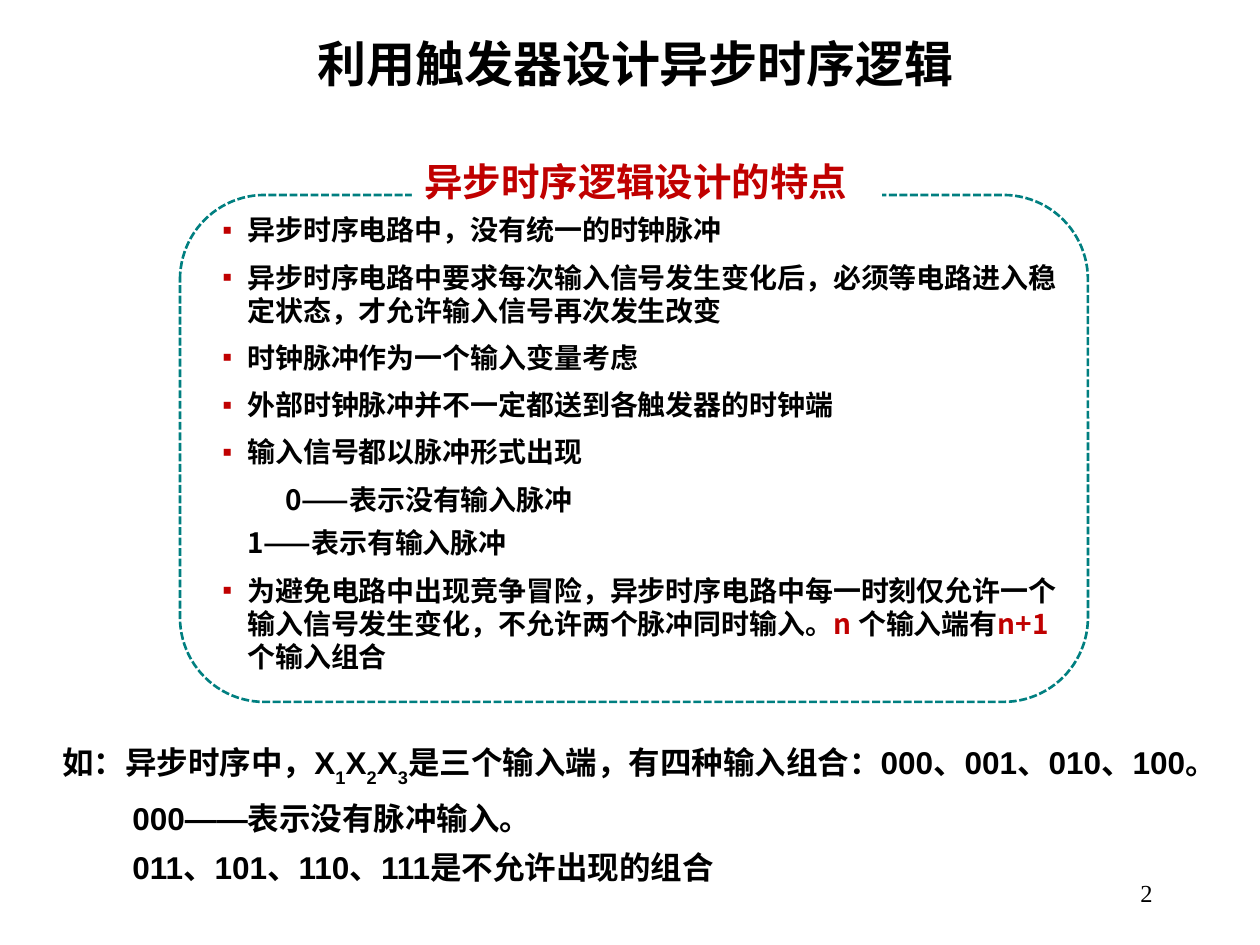
from pptx import Presentation
from pptx.dml.color import RGBColor
from pptx.enum.dml import MSO_LINE
from pptx.enum.shapes import MSO_SHAPE
from pptx.enum.text import MSO_ANCHOR, PP_ALIGN
from pptx.oxml.ns import qn
from pptx.util import Emu, Pt
from lxml.etree import SubElement

# Content: each paragraph is a list of (text, style) runs
CJK, LATIN, SERIF = "Noto Sans CJK SC", "Arial", "Times New Roman"
BLACK, RED, TEAL, WHITE = "000000", "C00000", "007F80", "FFFFFF"

TITLE = "利用触发器设计异步时序逻辑"
HEADING = "异步时序逻辑设计的特点"
FEATURES = [
    ("bullet", [("异步时序电路中，没有统一的时钟脉冲", "")]),
    ("bullet", [("异步时序电路中要求每次输入信号发生变化后，必须等电路进入稳定状态，才允许输入信号再次发生改变", "")]),
    ("bullet", [("时钟脉冲作为一个输入变量考虑", "")]),
    ("bullet", [("外部时钟脉冲并不一定都送到各触发器的时钟端", "")]),
    ("bullet", [("输入信号都以脉冲形式出现", "")]),
    ("zero", [("0——表示没有输入脉冲", "")]),
    ("one", [("1——表示有输入脉冲", "")]),
    ("bullet", [("为避免电路中出现竞争冒险，异步时序电路中每一时刻仅允许一个输入信号发生变化，不允许两个脉冲同时输入。", ""),
                ("n ", "red"), ("个输入端有", ""), ("n+1", "red"), ("个输入组合", "")]),
]
EXAMPLE = [
    ("lead", [("如：异步时序中，X", ""), ("1", "sub"), ("X", ""), ("2", "sub"), ("X", ""), ("3", "sub"),
              ("是三个输入端，有四种输入组合：000、001、010、100。", "")]),
    ("case", [("000——表示没有脉冲输入。", "")]),
    ("case", [("011、101、110、111是不允许出现的组合", "")]),
]
# Paragraph kinds: left margin px, first-line indent px, line pitch pt, space before pt
KINDS = {
    "bullet": (25, -25, 19, 8),
    "zero": (63, 0, 19, 8),
    "one": (25, 0, 17, 8),
    "lead": (62, -62, 25, 6),
    "case": (70, 0, 22, 6),
}


def px(n):
    return Emu(round(n * 914400 / 126))


def rgb(value):
    return RGBColor.from_string(value)


def add_run(p, text, size, font, color=BLACK, bold=True, sub=False):
    r = p.add_run()
    r.text = text
    f = r.font
    f.size, f.name, f.bold = Pt(size), font, bold
    f.color.rgb = rgb(color)
    rpr = f._element
    SubElement(rpr, qn("a:ea")).set("typeface", CJK)
    if sub:
        rpr.set("baseline", "-30000")


def add_bullet(ppr):
    clr = SubElement(ppr, qn("a:buClr"))
    SubElement(clr, qn("a:srgbClr")).set("val", RED)
    SubElement(ppr, qn("a:buFont")).set("typeface", LATIN)
    SubElement(ppr, qn("a:buChar")).set("char", "▪")


def add_text(box, paragraphs, size, font):
    tf = s.shapes.add_textbox(*map(px, box)).text_frame
    tf.word_wrap = True
    for i, (kind, runs) in enumerate(paragraphs):
        p = tf.add_paragraph() if i else tf.paragraphs[0]
        margin, indent, pitch, before = KINDS[kind]
        p.line_spacing = Pt(pitch)
        p.space_before = Pt(before if i else 0)
        ppr = p._p.get_or_add_pPr()
        ppr.set("marL", str(px(margin)))
        ppr.set("indent", str(px(indent)))
        if kind == "bullet":
            add_bullet(ppr)
        for text, style in runs:
            add_run(p, text, size, font, RED if style == "red" else BLACK, sub=style == "sub")


def add_line(tf, text, size, font, align, color=BLACK, bold=True):
    tf.word_wrap = True
    tf.vertical_anchor = MSO_ANCHOR.MIDDLE
    p = tf.paragraphs[0]
    p.alignment = align
    add_run(p, text, size, font, color, bold)


def add_panel(kind, box):
    sp = s.shapes.add_shape(kind, *map(px, box))
    sp.shadow.inherit = False
    return sp


prs = Presentation()
prs.slide_width, prs.slide_height = px(1260), px(945)
s = prs.slides.add_slide(prs.slide_layouts[5])

# Title
title = s.shapes.title
title.left, title.top, title.width, title.height = map(px, (100, 23, 1071, 79))
add_line(title.text_frame, TITLE, 28, CJK, PP_ALIGN.CENTER)

# Feature list in a dashed frame
add_text((210, 207, 876, 501), FEATURES, 16, CJK)
frame = add_panel(MSO_SHAPE.ROUNDED_RECTANGLE, (180, 195, 908, 507))
frame.fill.background()
frame.line.color.rgb = rgb(TEAL)
frame.line.width = Pt(1.5)
frame.line.dash_style = MSO_LINE.SQUARE_DOT

# Heading over the frame's top edge
heading = add_panel(MSO_SHAPE.RECTANGLE, (412, 149, 470, 64))
heading.fill.solid()
heading.fill.fore_color.rgb = rgb(WHITE)
heading.line.fill.background()
add_line(heading.text_frame, HEADING, 22, CJK, PP_ALIGN.LEFT, RED)

# Example and page number
add_text((50, 738, 1206, 149), EXAMPLE, 18, LATIN)
number = s.shapes.add_textbox(*map(px, (903, 861, 262, 63)))
add_line(number.text_frame, "2", 14, SERIF, PP_ALIGN.RIGHT, bold=False)

prs.save("out.pptx")
